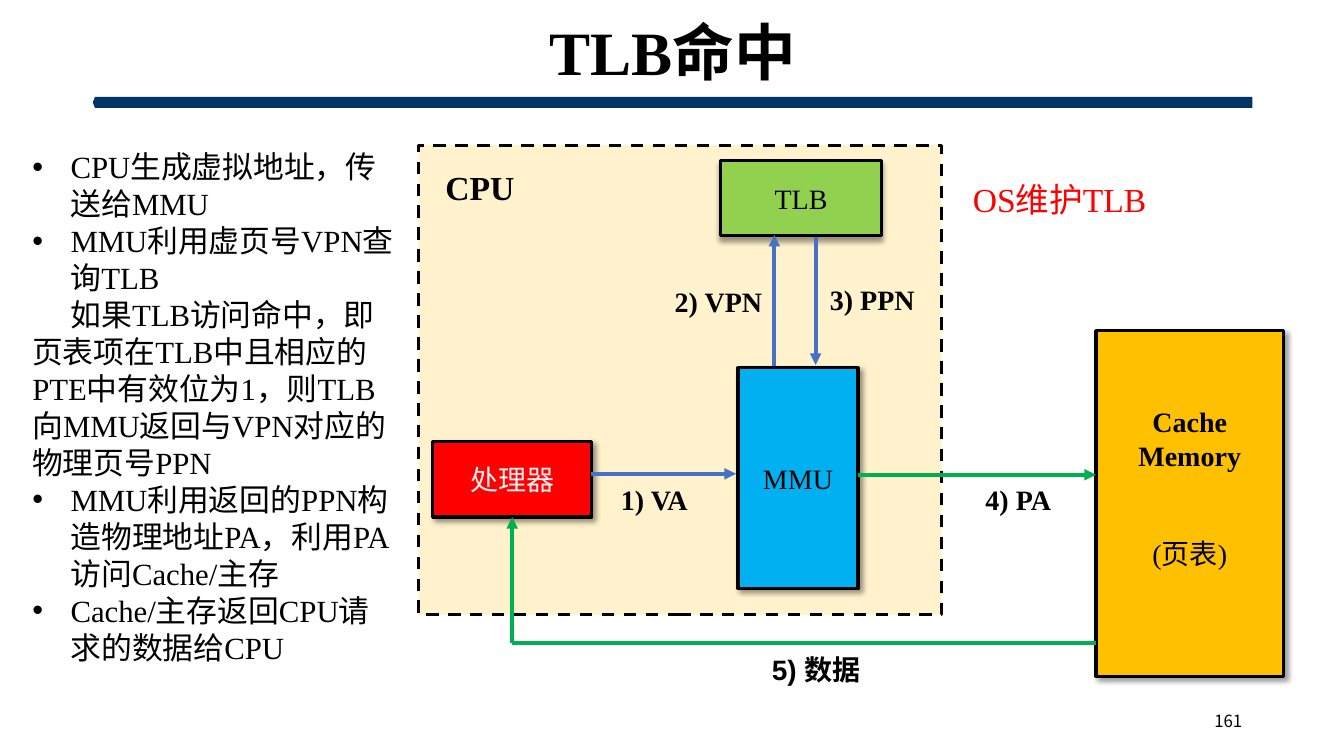
"""Build the slide on a TLB hit: steps on the left, data flow on the right."""
from lxml import etree
from pptx import Presentation
from pptx.dml.color import RGBColor
from pptx.enum.dml import MSO_LINE
from pptx.enum.shapes import MSO_CONNECTOR, MSO_SHAPE
from pptx.enum.text import MSO_ANCHOR, MSO_AUTO_SIZE, PP_ALIGN
from pptx.oxml.ns import qn
from pptx.util import Emu, Pt

PX = 9144
RECT, PENTAGON = MSO_SHAPE.RECTANGLE, MSO_SHAPE.PENTAGON
STRAIGHT = MSO_CONNECTOR.STRAIGHT
DASH = MSO_LINE.DASH
TOP, MIDDLE = MSO_ANCHOR.TOP, MSO_ANCHOR.MIDDLE
LEFT, CENTER, RIGHT = PP_ALIGN.LEFT, PP_ALIGN.CENTER, PP_ALIGN.RIGHT
NO_AUTOFIT = MSO_AUTO_SIZE.NONE
SERIF, SANS, CJK = "Times New Roman", "Arial", "Noto Sans CJK SC"
BLACK, BLUE, GREEN = "000000", "4472C4", "00B050"
BOTTOM_SIDE = 2
HANGING = 38

STEPS = [
    ("CPU生成虚拟地址，传送给MMU", True),
    ("MMU利用虚页号VPN查询TLB", True),
    ("如果TLB访问命中，即页表项在TLB中且相应的PTE中有效位为1，"
     "则TLB向MMU返回与VPN对应的物理页号PPN", False),
    ("MMU利用返回的PPN构造物理地址PA，利用PA访问Cache/主存", True),
    ("Cache/主存返回CPU请求的数据给CPU", True),
]


def px(*lengths):
    """Turn px lengths into EMU."""
    return [Emu(length * PX) for length in lengths]


def color(hex_code):
    """Return the colour for a hex string."""
    return RGBColor.from_string(hex_code)


def add_xml(parent, tag, **attributes):
    """Append a DrawingML element and return it."""
    return etree.SubElement(parent, qn(tag), attributes)


def apply(target, values):
    """Set each attribute named in a dict of format values."""
    for name, value in values.items():
        setattr(target, name, value)


def place(shape, box):
    """Move and size a shape to a px box."""
    apply(shape, dict(zip(("left", "top", "width", "height"), px(*box))))


def frame_format(frame, anchor=TOP, insets=(0, 0, 0, 0)):
    """Set wrapping, anchor and insets of a text frame."""
    left, top, right, bottom = px(*insets)
    apply(frame, {"word_wrap": True, "auto_size": NO_AUTOFIT,
                  "vertical_anchor": anchor,
                  "margin_left": left, "margin_top": top,
                  "margin_right": right, "margin_bottom": bottom})


def write(paragraph, text, size=20, font=SERIF, ink=BLACK, bold=False, align=CENTER):
    """Write one formatted run into a paragraph."""
    paragraph.alignment = align
    run = paragraph.add_run()
    run.text = text
    apply(run.font, {"size": Pt(size), "bold": bold, "name": font})
    run.font.color.rgb = color(ink)
    add_xml(run.font._element, "a:ea", typeface=CJK)


def add_label(slide, box, text, anchor=TOP, insets=(0, 0, 0, 0), **style):
    """Add a text box with one line of text."""
    frame = slide.shapes.add_textbox(*px(*box)).text_frame
    frame_format(frame, anchor, insets)
    write(frame.paragraphs[0], text, **style)


def add_block(slide, box, fill, shadow_angle=None, dash=None):
    """Add an outlined rectangle, with a shadow when an angle is given."""
    block = slide.shapes.add_shape(RECT, *px(*box))
    block.shadow.inherit = False
    block.fill.solid()
    block.fill.fore_color.rgb = color(fill)
    block.line.color.rgb = color(BLACK)
    apply(block.line, {"width": Pt(2.25), "dash_style": dash})
    if shadow_angle is not None:
        effects = block._element.spPr.find(qn("a:effectLst"))
        shadow = add_xml(effects, "a:outerShdw", blurRad=str(Pt(4)), dist=str(Pt(3)),
                         dir=str(shadow_angle * 60000), algn="tl", rotWithShape="0")
        add_xml(add_xml(shadow, "a:srgbClr", val=BLACK), "a:alpha", val="40000")
    frame_format(block.text_frame, MIDDLE)
    return block


def add_unit(slide, box, fill, name, shadow_angle=45, ink=BLACK):
    """Add a hardware unit with its name in the middle."""
    unit = add_block(slide, box, fill, shadow_angle)
    write(unit.text_frame.paragraphs[0], name, ink=ink)
    return unit


def add_flow(slide, start, end, ink, arrow=True):
    """Draw a straight flow line, with an arrowhead at its end."""
    flow = slide.shapes.add_connector(STRAIGHT, *px(*start, *end))
    flow.line.color.rgb = color(ink)
    flow.line.width = Pt(2.75)
    if arrow:
        add_xml(flow.line._get_or_add_ln(), "a:tailEnd", type="triangle")
    add_xml(flow._element.spPr, "a:effectLst")
    return flow


def add_heading(slide, box):
    """Fill the title and draw the bar under it."""
    left, top, width, height = box
    bar = slide.shapes.add_shape(PENTAGON, *px(left, top + height, width, 11))
    bar.shadow.inherit = False
    bar.rotation = 180
    bar.adjustments[0] = 0.2
    bar.fill.solid()
    bar.fill.fore_color.rgb = color("003366")
    bar.line.fill.background()
    title = slide.shapes.title
    place(title, box)
    frame_format(title.text_frame, MIDDLE, (10, 5, 10, 5))
    heading = title.text_frame.paragraphs[0]
    heading.line_spacing = 0.9
    write(heading, "TLB命中", size=44, bold=True)


def add_steps(slide, box):
    """Fill the body with the steps of a TLB hit."""
    body = slide.placeholders[1]
    place(body, box)
    frame = body.text_frame
    frame_format(frame, TOP, (10, 5, 10, 5))
    for index, (step, bulleted) in enumerate(STEPS):
        paragraph = frame.add_paragraph() if index else frame.paragraphs[0]
        properties = paragraph._p.get_or_add_pPr()
        properties.set("marL", str(HANGING * PX if bulleted else 0))
        properties.set("indent", str(-HANGING * PX if bulleted else HANGING * PX))
        paragraph.space_before = Pt(0)
        if bulleted:
            add_xml(properties, "a:buFont", typeface=SANS)
            add_xml(properties, "a:buChar", char="•")
        else:
            add_xml(properties, "a:buNone")
        write(paragraph, step, size=22, align=LEFT)


def add_cpu(slide, box):
    """Draw the CPU with its units and inner flows; return the processor."""
    left, top, width, height = box
    add_block(slide, box, "FFF2CC", dash=DASH)
    add_label(slide, (left + 14, top + 22, 94, 48), "CPU", size=24, bold=True)
    add_unit(slide, (left + 317, top + 221, 119, 219), "00B0F0", "MMU")
    add_unit(slide, (left + 300, top + 15, 159, 75), "92D050", "TLB", shadow_angle=90)
    processor = add_unit(slide, (left + 14, top + 294, 158, 75), "FF0000", "处理器",
                         ink="F2F2F2")
    for start, end in (((171, 326), (315, 326)),
                       ((353, 219), (353, 89)),
                       ((394, 91), (394, 218))):
        add_flow(slide, (left + start[0], top + start[1]),
                 (left + end[0], top + end[1]), BLUE)
    for x, y, label_width, text, align in ((184, 335, 100, "1) VA", CENTER),
                                           (187, 138, 154, "2) VPN", RIGHT),
                                           (408, 136, 109, "3) PPN", LEFT)):
        add_label(slide, (left + x, top + y, label_width, 48), text,
                  bold=True, align=align)
    return processor


def add_memory(slide, box, processor):
    """Draw the memory and its flows to and from the CPU."""
    left, top, width, height = box
    memory = add_block(slide, box, "FFC000", 45)
    frame = memory.text_frame
    frame_format(frame, MIDDLE, (0, 0, 0, 32))
    write(frame.paragraphs[0], "Cache", bold=True)
    write(frame.add_paragraph(), "Memory", bold=True)
    page_table = frame.add_paragraph()
    page_table.space_before = Pt(46)
    write(page_table, "(页表)")
    add_label(slide, (left - 127, top + 151, 100, 53), "4) PA", bold=True)
    add_flow(slide, (left - 236, top + 143), (left, top + 143), GREEN)
    add_label(slide, (left - 352, top + 319, 149, 48), "5) 数据", font=SANS, bold=True)
    corner = (left - 579, top + 310)
    add_flow(slide, (left, corner[1]), corner, GREEN, arrow=False)
    data = add_flow(slide, corner, (corner[0], corner[1] - 125), GREEN)
    data.end_connect(processor, BOTTOM_SIDE)


def main():
    """Assemble and save the slide."""
    deck = Presentation()
    deck.slide_width, deck.slide_height = px(1333, 750)
    slide = deck.slides.add_slide(deck.slide_layouts[1])
    add_heading(slide, (92, 14, 1150, 82))
    add_steps(slide, (22, 142, 383, 528))
    processor = add_cpu(slide, (415, 144, 519, 466))
    add_memory(slide, (1087, 328, 186, 343), processor)
    add_label(slide, (955, 173, 289, 50), "OS维护TLB", insets=(10, 5, 10, 5),
              size=24, ink="FF0000", align=LEFT)
    add_label(slide, (942, 695, 300, 40), "161", anchor=MIDDLE, insets=(10, 5, 10, 5),
              size=12, font=CJK, align=RIGHT)
    deck.save("out.pptx")


if __name__ == "__main__":
    main()
